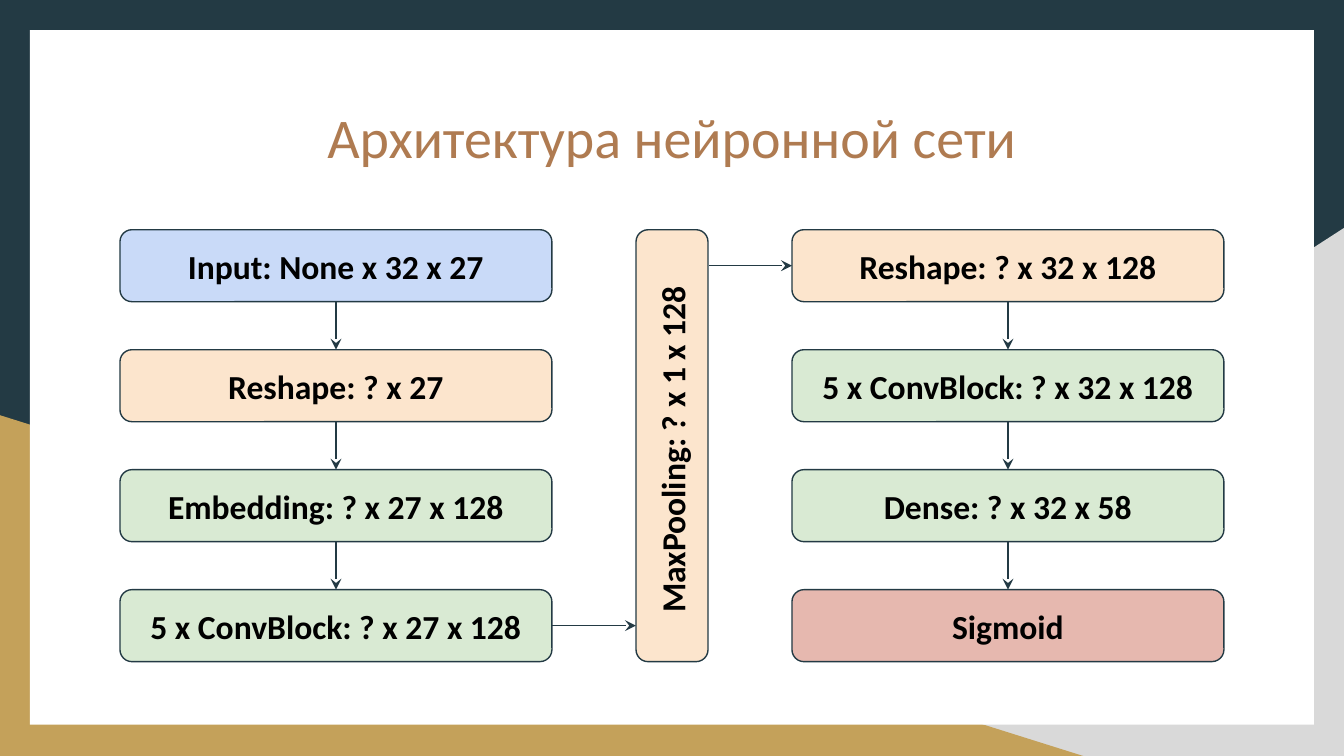
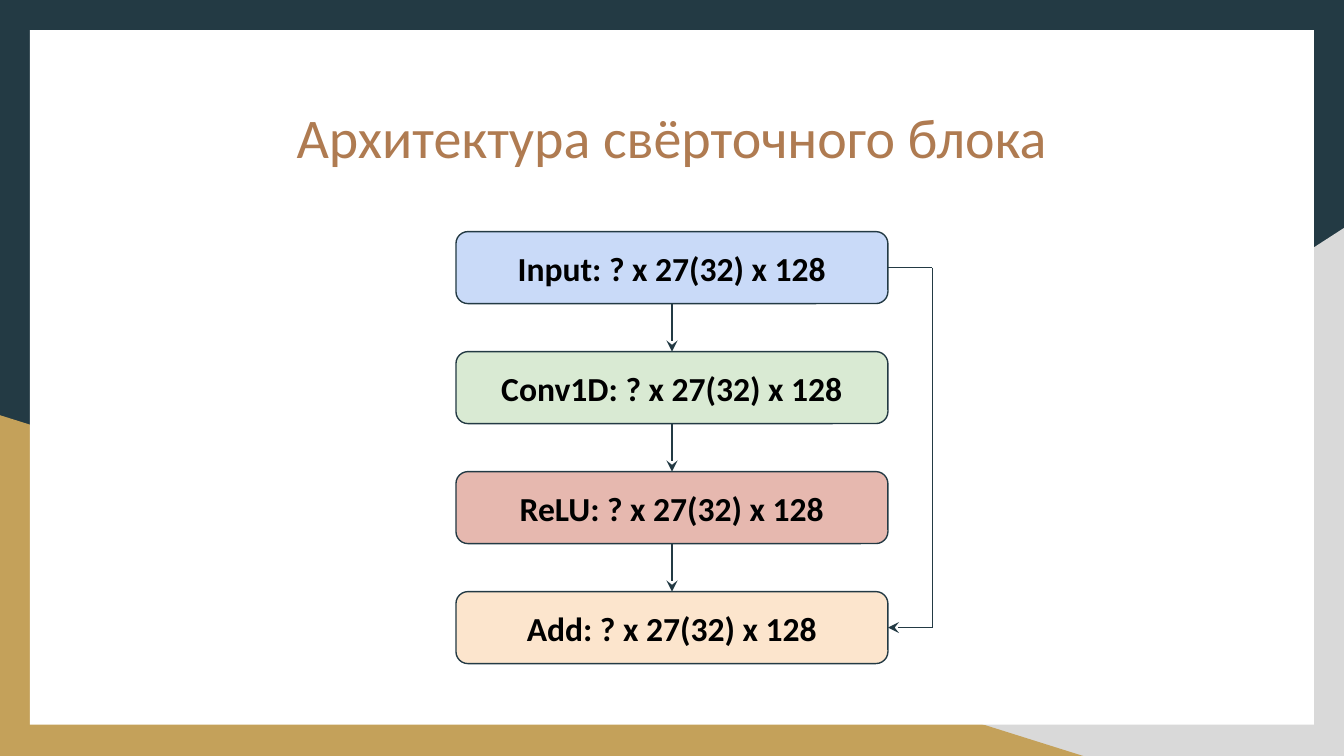
from lxml.etree import SubElement
from pptx import Presentation
from pptx.dml.color import RGBColor
from pptx.enum.shapes import MSO_CONNECTOR as Link, MSO_SHAPE as Preset
from pptx.enum.text import MSO_ANCHOR as Anchor, MSO_AUTO_SIZE as AutoSize, PP_ALIGN as Align
from pptx.oxml.ns import qn
from pptx.util import Inches, Pt

COLORS = {
    "frame": "233A44", "gold": "C4A15A", "grey": "D9D9D9", "paper": "FFFFFF",
    "title": "AF7B51", "text": "000000",
    "input": "C9DAF8", "reshape": "FCE5CD", "layer": "D9EAD3", "activation": "E6B8AF",
}
FONT = "Calibri"
COLUMNS = 56
BLOCK_WIDTH, BLOCK_HEIGHT, BLOCK_PITCH = 18, 3, 5
TOP, LEFT, BOTTOM, RIGHT = range(4)


class Deck:
    """Holds the shared style and the current slide, measured in grid units."""

    def __init__(self):
        """Set the slide size, the grid unit and the common background."""
        self.prs = Presentation()
        self.prs.slide_width, self.prs.slide_height = Inches(10), Inches(5.625)
        self.unit = self.prs.slide_width / COLUMNS
        self.slide = None
        backdrop = self.prs.slide_master.background.fill
        backdrop.solid()
        backdrop.fore_color.rgb = self.color("frame")

    def color(self, role):
        """Return the colour that belongs to a role."""
        return RGBColor.from_string(COLORS[role])

    def grid(self, *cells):
        """Turn grid units into slide lengths."""
        return [round(cell * self.unit) for cell in cells]

    def label(self, frame, wording, size, role, bold=False):
        """Set one centred run in a text frame."""
        frame.word_wrap = True
        frame.auto_size = AutoSize.NONE
        frame.margin_left = frame.margin_right = Inches(0.1)
        frame.margin_top = frame.margin_bottom = Inches(0.1)
        paragraph = frame.paragraphs[0]
        paragraph.alignment = Align.CENTER
        run = paragraph.add_run()
        run.text = wording
        run.font.name, run.font.size, run.font.bold = FONT, Pt(size), bold
        run.font.color.rgb = self.color(role)

    def open_slide(self, heading):
        """Start a slide with a centred heading."""
        self.slide = self.prs.slides.add_slide(self.prs.slide_layouts[5])
        title = self.slide.shapes.title
        title.left, title.top, title.width, title.height = self.grid(5, 3.7, 46, 4.37)
        title.text_frame.vertical_anchor = Anchor.TOP
        self.label(title.text_frame, heading, 30, "title")

    def panel(self, preset, role, *cells):
        """Draw a filled preset shape without outline or shadow."""
        panel = self.slide.shapes.add_shape(preset, *self.grid(*cells))
        panel.shadow.inherit = False
        panel.fill.solid()
        panel.fill.fore_color.rgb = self.color(role)
        panel.line.fill.background()
        return panel

    def lay_frame(self):
        """Put the corner triangles and the white sheet on the master."""
        grey = self.panel(Preset.RIGHT_TRIANGLE, "grey", 21.95, 9.5, 34.05, 22)
        grey.element.spPr.find(qn("a:xfrm")).set("flipH", "1")
        gold = self.panel(Preset.RIGHT_TRIANGLE, "gold", 0, 17.3, 45.14, 14.2)
        sheet = self.panel(Preset.RECTANGLE, "paper", 1.25, 1.25, 53.5, 28.95)
        tree = self.prs.slide_master.shapes.element
        for order, part in enumerate((grey, gold, sheet)):
            part.element.nvSpPr.cNvPr.set("id", str(100 + order))
            tree.insert(2 + order, part.element)

    def block(self, wording, role, column, row, rotation=0):
        """Draw one labelled network block."""
        block = self.panel(Preset.ROUNDED_RECTANGLE, role, column, row, BLOCK_WIDTH, BLOCK_HEIGHT)
        block.adjustments[0] = 0.167
        block.rotation = rotation
        block.line.color.rgb = self.color("frame")
        block.line.width = Pt(0.75)
        block.text_frame.vertical_anchor = Anchor.MIDDLE
        self.label(block.text_frame, wording, 18, "text", bold=True)
        return block

    def link(self, start, end, source=None, target=None, arrow=True):
        """Draw a line between grid points, joined to (block, side) pairs."""
        link = self.slide.shapes.add_connector(Link.STRAIGHT, *self.grid(*start, *end))
        if source:
            link.begin_connect(*source)
        if target:
            link.end_connect(*target)
        link.line.color.rgb = self.color("frame")
        link.line.width = Pt(0.75)
        properties = link.element.spPr
        if arrow:
            SubElement(properties.find(qn("a:ln")), qn("a:tailEnd"), type="stealth")
        SubElement(properties, qn("a:effectLst"))

    def chain(self, column, row, steps):
        """Stack blocks at equal gaps and join each to the next."""
        blocks = [self.block(wording, role, column, row + order * BLOCK_PITCH)
                  for order, (wording, role) in enumerate(steps)]
        middle = column + BLOCK_WIDTH / 2
        for order, (upper, lower) in enumerate(zip(blocks, blocks[1:])):
            below = row + order * BLOCK_PITCH + BLOCK_HEIGHT
            self.link((middle, below), (middle, row + (order + 1) * BLOCK_PITCH),
                      (upper, BOTTOM), (lower, TOP))
        return blocks


def network_slide(deck):
    """Show the whole network as two chains around a pooling block."""
    row, encoder_column, decoder_column = 9.57, 5, 33
    first_line = row + BLOCK_HEIGHT / 2
    last_line = first_line + 3 * BLOCK_PITCH
    deck.open_slide("Архитектура нейронной сети")
    deck.lay_frame()
    encoder = deck.chain(encoder_column, row, [
        ("Input: None x 32 x 27", "input"),
        ("Reshape: ? x 27", "reshape"),
        ("Embedding: ? x 27 x 128", "layer"),
        ("5 x ConvBlock: ? x 27 x 128", "layer"),
    ])
    deck.block("MaxPooling: ? x 1 x 128 ", "reshape", 19, (first_line + last_line - BLOCK_HEIGHT) / 2, 270)
    decoder = deck.chain(decoder_column, row, [
        ("Reshape: ? x 32 x 128", "reshape"),
        ("5 x ConvBlock: ? x 32 x 128", "layer"),
        ("Dense: ? x 32 x 58", "layer"),
        ("Sigmoid", "activation"),
    ])
    deck.link((encoder_column + BLOCK_WIDTH, last_line), (26.5, last_line), source=(encoder[-1], RIGHT))
    deck.link((29.55, first_line), (decoder_column, first_line), target=(decoder[0], LEFT))


def conv_block_slide(deck):
    """Show the convolution block with its skip connection."""
    column, row, rail = 19, 9.65, 38.85
    edge = column + BLOCK_WIDTH
    first_line = row + BLOCK_HEIGHT / 2
    last_line = first_line + 3 * BLOCK_PITCH
    deck.open_slide("Архитектура свёрточного блока")
    steps = deck.chain(column, row, [
        ("Input: ? x 27(32) x 128", "input"),
        ("Conv1D: ? x 27(32) x 128", "layer"),
        ("ReLU: ? x 27(32) x 128", "activation"),
        ("Add: ? x 27(32) x 128", "reshape"),
    ])
    deck.link((rail, first_line), (rail, last_line), arrow=False)
    deck.link((edge, first_line), (rail, first_line), source=(steps[0], RIGHT), arrow=False)
    deck.link((rail, last_line), (edge, last_line), target=(steps[-1], RIGHT))


def main():
    """Build both slides and save them."""
    deck = Deck()
    network_slide(deck)
    conv_block_slide(deck)
    deck.prs.save("out.pptx")


if __name__ == "__main__":
    main()
